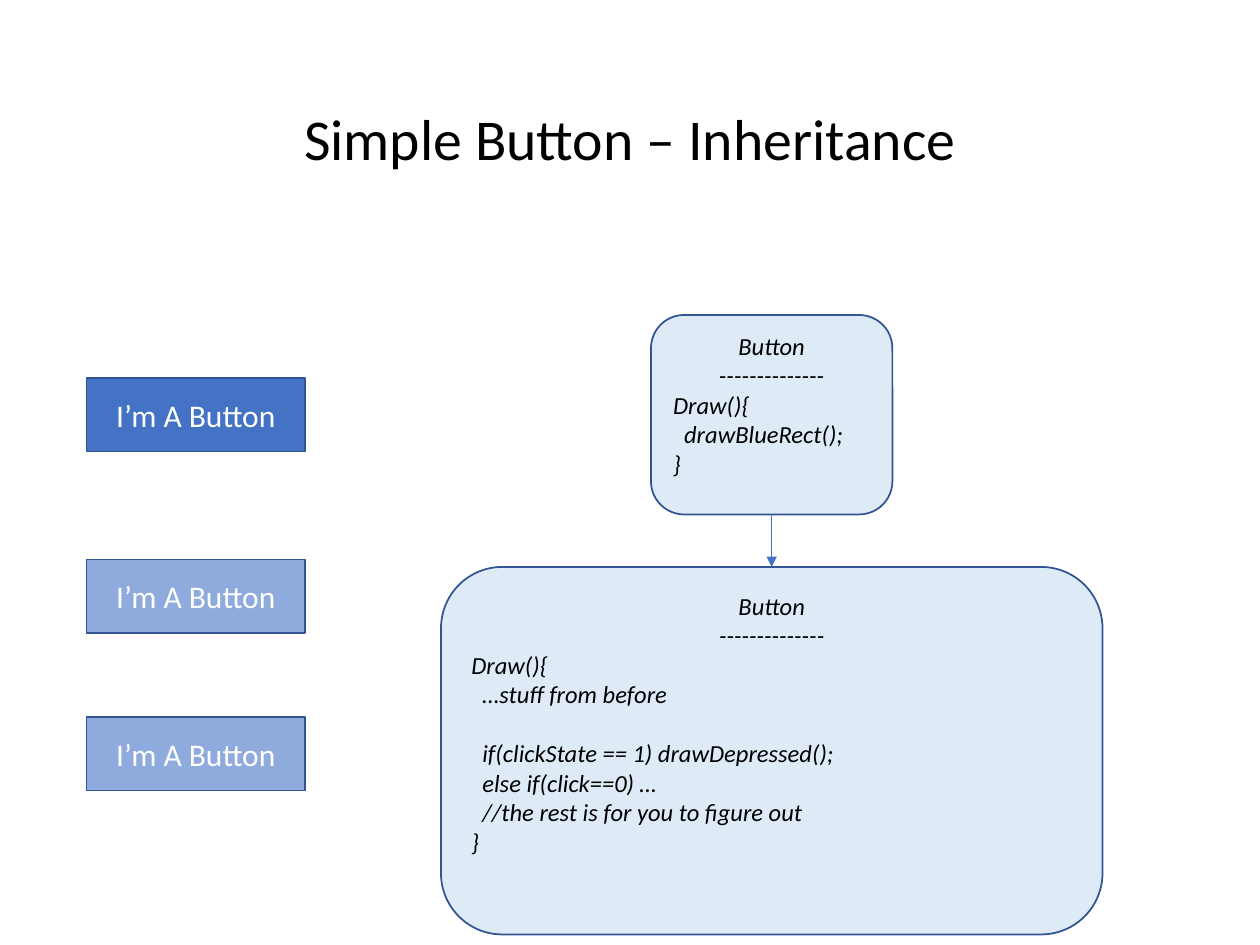
from lxml import etree
from pptx import Presentation
from pptx import util as u
from pptx.dml.color import RGBColor
from pptx.enum import shapes, text
from pptx.oxml.ns import qn

COLORS = {
    "text": "000000",
    "label": "FFFFFF",
    "panel": "DEEBF7",
    "edge": "325491",
    "button": "4472C4",
    "faded": "8FAADC",
}
COLS, ROWS = 120, 90
CENTER, LEFT = text.PP_ALIGN.CENTER, text.PP_ALIGN.LEFT
MIDDLE, TOP = text.MSO_ANCHOR.MIDDLE, text.MSO_ANCHOR.TOP

BUTTON_FILLS = {36: "button", 53.3: "faded", 68.3: "faded"}
BASE_CODE = ["Draw(){", "  drawBlueRect();", "}"]
CHILD_CODE = [
    "Draw(){",
    "  …stuff from before",
    "  if(clickState == 1) drawDepressed();",
    "  else if(click==0) …",
    "  //the rest is for you to figure out",
    "}",
]

prs = Presentation()
prs.slide_width, prs.slide_height = u.Inches(10), u.Inches(7.5)


def rgb(name):
    return RGBColor.from_string(COLORS[name])


def grid(col, row, cols, rows):
    w, h = prs.slide_width / COLS, prs.slide_height / ROWS
    return [round(v) for v in (col * w, row * h, cols * w, rows * h)]


def assign(obj, values):
    for name, value in values.items():
        setattr(obj, name, value)


def write(p, line, size, color, align, italic=False):
    r = p.add_run()
    r.text = line
    p.alignment = align
    assign(r.font, {"name": "Calibri", "size": u.Pt(size), "italic": italic})
    r.font.color.rgb = rgb(color)


def add_box(s, kind, box, fill, anchor):
    sp = s.shapes.add_shape(kind, *grid(*box))
    sp.shadow.inherit = False
    sp.fill.solid()
    sp.fill.fore_color.rgb = rgb(fill)
    sp.line.color.rgb = rgb("edge")
    sp.line.width = u.Pt(1)
    assign(sp.text_frame, {"word_wrap": True, "vertical_anchor": anchor})
    return sp


def add_title(s, box, line):
    sp = s.shapes.title
    assign(sp, dict(zip(("left", "top", "width", "height"), grid(*box))))
    sp.text_frame.vertical_anchor = MIDDLE
    p = sp.text_frame.paragraphs[0]
    p.line_spacing = 0.9
    write(p, line, 33, "text", CENTER)


def add_button(s, box, fill):
    sp = add_box(s, shapes.MSO_SHAPE.RECTANGLE, box, fill, MIDDLE)
    write(sp.text_frame.paragraphs[0], "I’m A Button", 18, "label", CENTER)


def add_class(s, box, code, gap_before=None):
    sp = add_box(s, shapes.MSO_SHAPE.ROUNDED_RECTANGLE, box, "panel", TOP)
    tf = sp.text_frame
    lines = [(line, CENTER) for line in ("Button", "-" * 14)]
    lines += [(line, LEFT) for line in code]
    for i, (line, align) in enumerate(lines):
        p = tf.add_paragraph() if i else tf.paragraphs[0]
        write(p, line, 14, "text", align, italic=True)
        if line == gap_before:
            p.space_before = u.Pt(17)
    return sp


def add_arrow(s, parent, child):
    c = s.shapes.add_connector(shapes.MSO_CONNECTOR.STRAIGHT, 0, 0, 0, 0)
    c.begin_connect(parent, 2)
    c.end_connect(child, 0)
    c.line.color.rgb = rgb("button")
    c.line.width = u.Pt(0.5)
    etree.SubElement(c.line._get_or_add_ln(), qn("a:tailEnd"), type="triangle")
    etree.SubElement(c._element.spPr, qn("a:effectLst"))


def build_slide():
    s = prs.slides.add_slide(prs.slide_layouts[5])
    add_title(s, (8.25, 4.8, 103.5, 17.4), "Simple Button – Inheritance")
    for row, fill in BUTTON_FILLS.items():
        add_button(s, (8.25, row, 20.8, 7), fill)
    parent = add_class(s, (62, 30, 23, 19), BASE_CODE)
    child = add_class(s, (42, 54, 63, 35), CHILD_CODE, gap_before=CHILD_CODE[2])
    add_arrow(s, parent, child)


build_slide()
prs.save("out.pptx")
